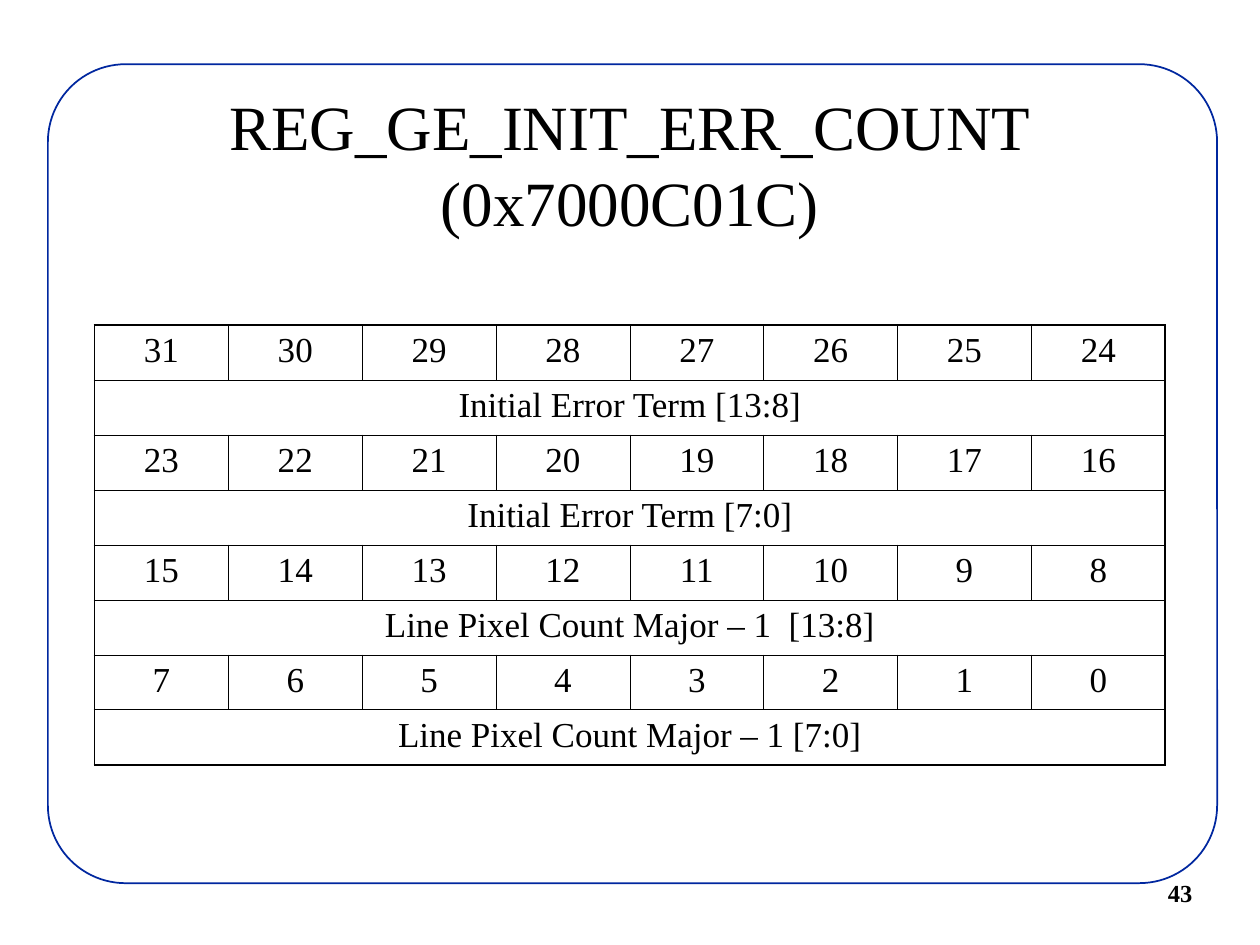
from dataclasses import dataclass

from lxml import etree
from pptx import Presentation
from pptx import util as u
from pptx.dml.color import RGBColor
from pptx.enum import shapes, text
from pptx.oxml import ns


@dataclass(frozen=True)
class Theme:
    font: str = "Times New Roman"
    ink: str = "000000"
    paper: str = "FFFFFF"
    frame: str = "00279F"
    title_size: float = 36
    cell_size: float = 20
    number_size: float = 14
    frame_line: float = 1
    outer_line: float = 1.08
    inner_line: float = 0.45


@dataclass(frozen=True)
class RegisterByte:
    """Eight bits of the register, from top_bit down, and the field they hold."""
    top_bit: int
    field: str


THEME = Theme()
BITS = 8
REGISTER = (
    RegisterByte(31, "Initial Error Term [13:8]"),
    RegisterByte(23, "Initial Error Term [7:0]"),
    RegisterByte(15, "Line Pixel Count Major – 1  [13:8]"),
    RegisterByte(7, "Line Pixel Count Major – 1 [7:0]"),
)


def add_run(paragraph, words: str, size: float, bold: bool = False) -> None:
    run = paragraph.add_run()
    run.text = words
    run.font.name = THEME.font
    run.font.size = u.Pt(size)
    run.font.bold = bold
    run.font.color.rgb = RGBColor.from_string(THEME.ink)


def add_frame(slide) -> None:
    frame = slide.shapes.add_shape(
        shapes.MSO_SHAPE.ROUNDED_RECTANGLE,
        u.Inches(0.38), u.Inches(0.51), u.Inches(9.28), u.Inches(6.5))
    frame.adjustments[0] = 0.095
    frame.shadow.inherit = False
    frame.fill.solid()
    frame.fill.fore_color.rgb = RGBColor.from_string(THEME.paper)
    frame.line.color.rgb = RGBColor.from_string(THEME.frame)
    frame.line.width = u.Pt(THEME.frame_line)


def add_page_number(slide, number: str) -> None:
    box = slide.shapes.add_textbox(
        u.Inches(9.17), u.Inches(6.92), u.Inches(1.08), u.Inches(0.33))
    box.text_frame.word_wrap = False
    box.text_frame.auto_size = text.MSO_AUTO_SIZE.SHAPE_TO_FIT_TEXT
    paragraph = box.text_frame.paragraphs[0]
    paragraph.alignment = text.PP_ALIGN.LEFT
    add_run(paragraph, number, THEME.number_size, bold=True)


def add_title(slide, name: str, address: str) -> None:
    title = slide.shapes.add_textbox(
        u.Inches(0.75), u.Inches(0.67), u.Inches(8.5), u.Inches(1.25)).text_frame
    title.word_wrap = True
    title.vertical_anchor = text.MSO_ANCHOR.MIDDLE
    paragraph = title.paragraphs[0]
    paragraph.alignment = text.PP_ALIGN.CENTER
    add_run(paragraph, name, THEME.title_size)
    paragraph.add_line_break()
    add_run(paragraph, address, THEME.title_size)


def style_cell(cell, left: bool, right: bool, top: bool, bottom: bool) -> None:
    """Clear the fill and rule the sides; a true side lies on the table's edge."""
    properties = cell._tc.get_or_add_tcPr()
    for side, is_outer in zip("LRTB", (left, right, top, bottom)):
        width = u.Pt(THEME.outer_line if is_outer else THEME.inner_line)
        line = etree.SubElement(properties, ns.qn(f"a:ln{side}"), w=str(int(width)))
        fill = etree.SubElement(line, ns.qn("a:solidFill"))
        etree.SubElement(fill, ns.qn("a:srgbClr"), val=THEME.ink)
    cell.fill.background()


def write_cell(cell, words: str) -> None:
    paragraph = cell.text_frame.paragraphs[0]
    paragraph.alignment = text.PP_ALIGN.CENTER
    add_run(paragraph, words, THEME.cell_size)


def add_register(slide, register: tuple[RegisterByte, ...]) -> None:
    row_count = 2 * len(register)
    width, height = u.Inches(8.5), u.Inches(3.49)
    table = slide.shapes.add_table(
        row_count, BITS, u.Inches(0.75), u.Inches(2.58), width, height).table
    table.first_row = table.horz_banding = False

    for row in range(row_count):
        is_field = row % 2 == 1
        for column in range(BITS):
            style_cell(table.cell(row, column),
                       left=column == 0,
                       right=column == BITS - 1 or (is_field and column == 0),
                       top=row == 0,
                       bottom=row == row_count - 1)

    for index, byte in enumerate(register):
        bit_row, field_row = 2 * index, 2 * index + 1
        for column in range(BITS):
            write_cell(table.cell(bit_row, column), str(byte.top_bit - column))
        field = table.cell(field_row, 0)
        field.merge(table.cell(field_row, BITS - 1))
        write_cell(field, byte.field)


def main() -> None:
    deck = Presentation()
    deck.slide_width, deck.slide_height = u.Inches(10), u.Inches(7.5)
    slide = deck.slides.add_slide(deck.slide_layouts[6])
    add_frame(slide)
    add_page_number(slide, "43")
    add_title(slide, "REG_GE_INIT_ERR_COUNT", "(0x7000C01C)")
    add_register(slide, REGISTER)
    deck.save("out.pptx")


if __name__ == "__main__":
    main()
